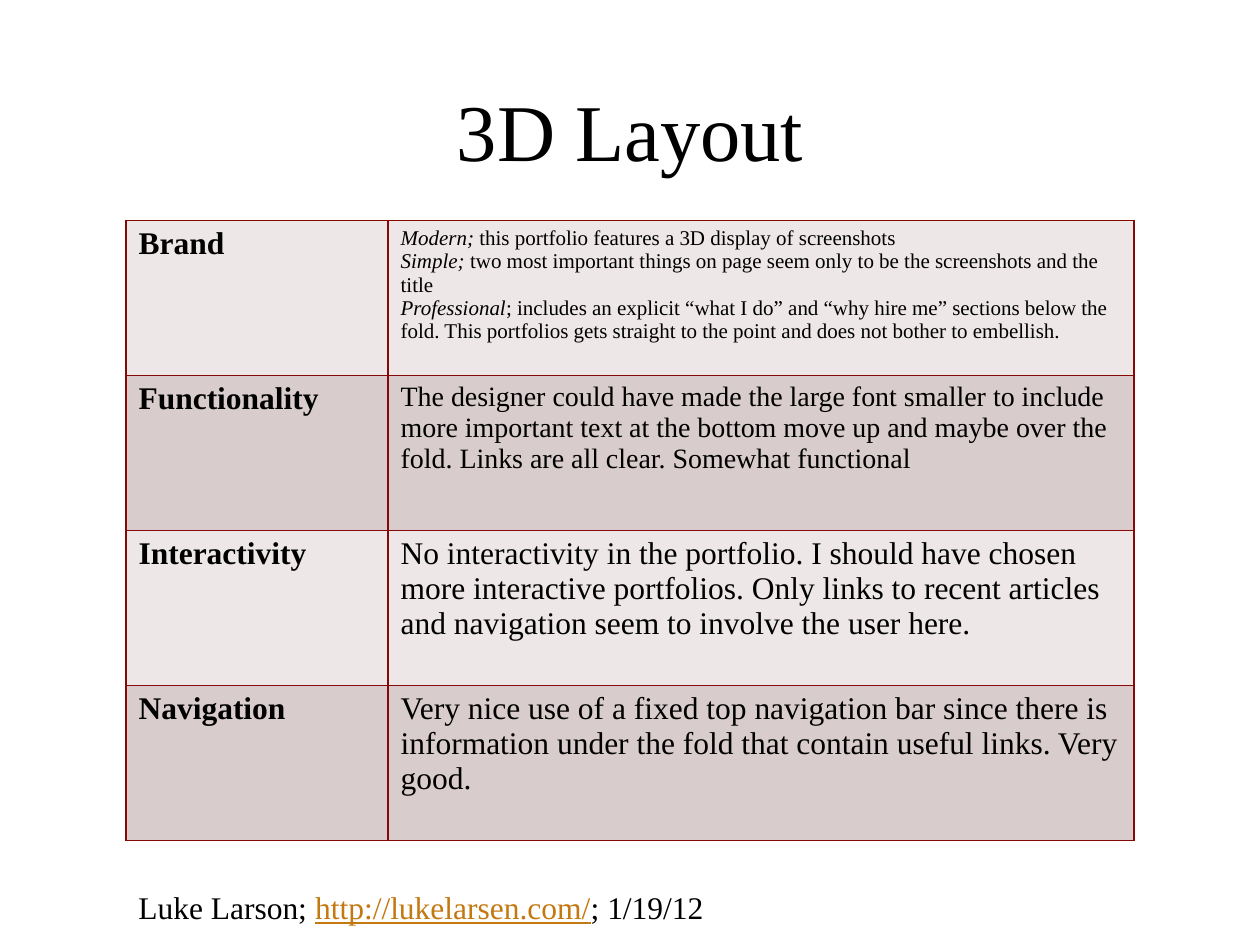
import pptx
import pptx.dml.color
import pptx.enum.text
import pptx.oxml
import pptx.oxml.ns
import pptx.util

WIDTH, HEIGHT = 10, 7.5
FONT = "Times New Roman"
BLACK, BORDER, LINK = "000000", "860908", "C47810"
BANDS = ["EDE7E7", "D9CCCC"]

# Each row: heading, text size, paragraphs of (text, italic) spans
ROWS = [
    ("Brand", 12, [
        [("Modern; ", True),
         ("this portfolio features a 3D display of screenshots", False)],
        [("Simple; ", True),
         ("two most important things on page seem only to be the screenshots "
          "and the title", False)],
        [("Professional", True),
         ("; includes an explicit “what I do” and “why hire me” sections below "
          "the fold. This portfolios gets straight to the point and does not "
          "bother to embellish.", False)],
    ]),
    ("Functionality", 16, [[
        ("The designer could have made the large font smaller to include more "
         "important text at the bottom move up and maybe over the fold. Links "
         "are all clear. Somewhat functional", False)]]),
    ("Interactivity", 18, [[
        ("No interactivity in the portfolio. I should have chosen more "
         "interactive portfolios. Only links to recent articles and navigation "
         "seem to involve the user here.", False)]]),
    ("Navigation", 18, [[
        ("Very nice use of a fixed top navigation bar since there is "
         "information under the fold that contain useful links. Very good.",
         False)]]),
]


def color(value):
    return pptx.dml.color.RGBColor.from_string(value)


def inches(*lengths):
    return [pptx.util.Inches(length) for length in lengths]


def style(para, size, bold=False):
    font = para.font
    font.name, font.size, font.bold = FONT, pptx.util.Pt(size), bold
    font.color.rgb = color(BLACK)


def add_title(page, box, text):
    frame = page.shapes.add_textbox(*inches(*box)).text_frame
    frame.word_wrap = True
    frame.vertical_anchor = pptx.enum.text.MSO_ANCHOR.MIDDLE
    para = frame.paragraphs[0]
    para.text = text
    para.alignment = pptx.enum.text.PP_ALIGN.CENTER
    style(para, 46)


def add_borders(cell):
    """Draw all four edges; they must precede the fill in the cell."""
    properties = cell._tc.get_or_add_tcPr()
    for index, edge in enumerate(["lnL", "lnR", "lnT", "lnB"]):
        line = pptx.oxml.parse_xml(
            f'<a:{edge} {pptx.oxml.ns.nsdecls("a")} w="12700"><a:solidFill>'
            f'<a:srgbClr val="{BORDER}"/></a:solidFill></a:{edge}>')
        properties.insert(index, line)


def fill_cell(cell, paragraphs, size, band, bold=False):
    cell.fill.solid()
    cell.fill.fore_color.rgb = color(band)
    add_borders(cell)
    frame = cell.text_frame
    for index, spans in enumerate(paragraphs):
        para = frame.add_paragraph() if index else frame.paragraphs[0]
        style(para, size, bold)
        for text, italic in spans:
            span = para.add_run()
            span.text = text
            span.font.italic = italic


def add_review_table(page, box, heading_share):
    table = page.shapes.add_table(len(ROWS), 2, *inches(*box)).table
    table.first_row = table.horz_banding = False
    width, height = box[2:]
    shares = [heading_share, 1 - heading_share]
    for column, share in zip(table.columns, shares):
        column.width = pptx.util.Inches(width * share)
    for index, (heading, size, paragraphs) in enumerate(ROWS):
        table.rows[index].height = pptx.util.Inches(height / len(ROWS))
        band = BANDS[index % len(BANDS)]
        fill_cell(table.cell(index, 0), [[(heading, False)]], 18, band, True)
        fill_cell(table.cell(index, 1), paragraphs, size, band)


def add_source_line(page, box, before, address, after):
    frame = page.shapes.add_textbox(*inches(*box)).text_frame
    frame.word_wrap = False
    frame.auto_size = pptx.enum.text.MSO_AUTO_SIZE.SHAPE_TO_FIT_TEXT
    para = frame.paragraphs[0]
    style(para, 18)
    for text in (before, address, after):
        span = para.add_run()
        span.text = text
        if text == address:
            span.font.color.rgb = color(LINK)
            span.font.underline = True


def main():
    deck = pptx.Presentation()
    deck.slide_width, deck.slide_height = inches(WIDTH, HEIGHT)
    page = deck.slides.add_slide(deck.slide_layouts[6])
    margin = WIDTH / 10
    content = WIDTH - 2 * margin
    add_title(page, (margin, 0.55, content, 0.95), "3D Layout")
    add_review_table(page, (margin, 1.75, content, 4.92), 0.26)
    add_source_line(page, (margin, 7, 4.89, 0.4),
                    "Luke Larson; ", "http://lukelarsen.com/", "; 1/19/12")
    deck.save("out.pptx")


if __name__ == "__main__":
    main()
